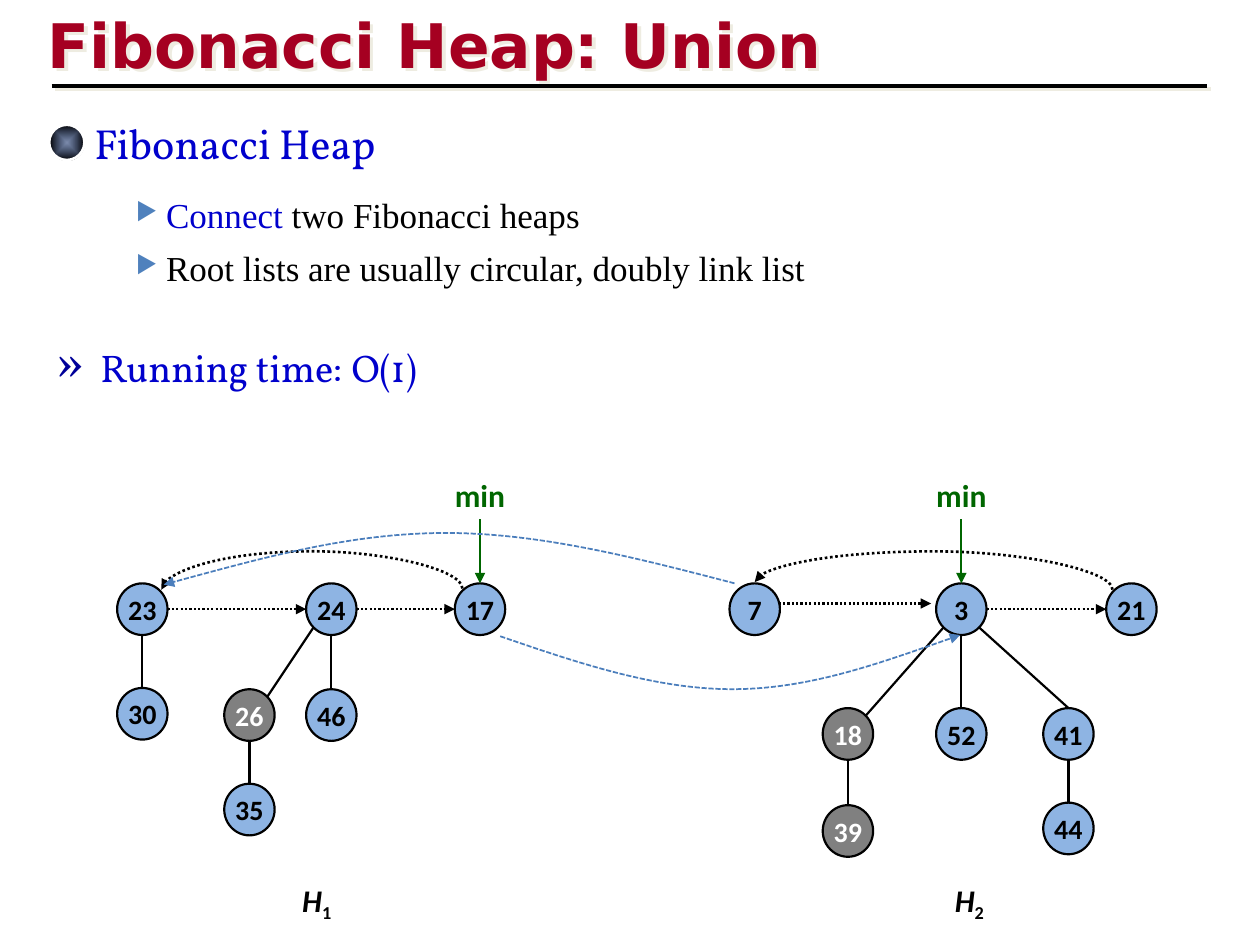
from pptx import Presentation
from pptx.dml.color import RGBColor
from pptx.enum.dml import MSO_LINE
from pptx.enum.shapes import MSO_CONNECTOR, MSO_SHAPE
from pptx.enum.text import MSO_ANCHOR, PP_ALIGN
from pptx.oxml import parse_xml
from pptx.oxml.ns import nsdecls
from pptx.util import Inches, Pt

STRAIGHT, CURVE = MSO_CONNECTOR.STRAIGHT, MSO_CONNECTOR.CURVE
OVAL = MSO_SHAPE.OVAL
DOT, DASH = MSO_LINE.ROUND_DOT, MSO_LINE.SQUARE_DOT
LEFT, CENTER, MIDDLE = PP_ALIGN.LEFT, PP_ALIGN.CENTER, MSO_ANCHOR.MIDDLE

BLACK = RGBColor(0x00, 0x00, 0x00)
WHITE = RGBColor(0xFF, 0xFF, 0xFF)
RED = RGBColor(0xA5, 0x00, 0x21)
BLUE = RGBColor(0x00, 0x00, 0xCC)
NAVY = RGBColor(0x00, 0x00, 0x99)
GREEN = RGBColor(0x00, 0x66, 0x00)
GRAY = RGBColor(0x80, 0x80, 0x80)
SKY = RGBColor(0x8E, 0xB4, 0xE3)
STEEL = RGBColor(0x4B, 0x7E, 0xBC)

SANS, BODY, SERIF = "DejaVu Sans", "Calibri", "Times New Roman"
HEAD, MARK = "Vollkorn", "TeX Gyre Schola"

# Node size, and the points on its rim where links end
WIDE, HIGH = 0.4, 0.41
N, S, E, W = (0, -1), (0, 1), (1, 0), (-1, 0)
NE, SE, SW = (0.71, -0.71), (0.71, 0.71), (-0.71, 0.71)

# Key: centre x, top
NODES = {
    23: (1.13, 4.63), 24: (2.63, 4.63), 17: (3.81, 4.63),
    30: (1.13, 5.46), 26: (1.98, 5.47), 46: (2.63, 5.47), 35: (1.98, 6.22),
    7: (5.99, 4.63), 3: (7.63, 4.63), 21: (8.98, 4.63),
    18: (6.73, 5.62), 52: (7.63, 5.62), 41: (8.48, 5.62),
    39: (6.73, 6.39), 44: (8.48, 6.37),
}
MARKED = {26, 18, 39}
TREES = [
    (23, S, 30, N), (24, SW, 26, NE), (24, S, 46, N), (26, S, 35, N),
    (3, SW, 18, NE), (3, S, 52, N), (3, SE, 41, N), (18, S, 39, N),
    (41, S, 44, N),
]
ROOTS = [(23, 24), (24, 17), (3, 21)]


def rim(key, way):
    x, top = NODES[key]
    return x + way[0] * WIDE / 2, top + HIGH / 2 + way[1] * HIGH / 2


class Deck:
    def __init__(self):
        self.file = Presentation()
        self.file.slide_width, self.file.slide_height = Inches(10), Inches(7.5)
        self.slide = self.file.slides.add_slide(self.file.slide_layouts[5])
        self.shapes = self.slide.shapes

    def font(self, font, name, size, color, bold=None):
        font.name, font.size, font.bold = name, Pt(size), bold
        font.color.rgb = color

    def shade(self, shape, inner=""):
        props = shape._element.spPr
        props.append(parse_xml(
            f'<a:effectLst {nsdecls("a")}>{inner}</a:effectLst>'))

    def glow(self, shape):
        self.shade(shape, '<a:outerShdw dist="35921" dir="2700000">'
                          '<a:srgbClr val="EEECE1"/></a:outerShdw>')

    def title(self, text):
        box = self.shapes.title
        box.left, box.top = Inches(0.28), Inches(0.01)
        box.width, box.height = Inches(8.5), Inches(0.67)
        box.text_frame.text = text
        box.text_frame.vertical_anchor = MIDDLE
        para = box.text_frame.paragraphs[0]
        para.alignment = LEFT
        self.font(para.font, SANS, 35.1, RED, True)
        self.glow(box)

    def box(self, x, y, w, h):
        frame = self.shapes.add_textbox(
            Inches(x), Inches(y), Inches(w), Inches(h)).text_frame
        frame.word_wrap = True
        return frame

    def runs(self, para, parts):
        for text, name, size, color in parts:
            run = para.add_run()
            run.text = text
            self.font(run.font, name, size, color)

    def bullet(self, para):
        props = para._p.get_or_add_pPr()
        props.set("marL", str(Inches(0.24)))
        props.set("indent", str(-Inches(0.24)))
        ns = nsdecls("a")
        for item in (f'<a:buClr {ns}><a:srgbClr val="4F81BD"/></a:buClr>',
                     f'<a:buSzPct {ns} val="70000"/>',
                     f'<a:buChar {ns} char="▶"/>'):
            props.append(parse_xml(item))

    def center(self, frame, text, size, color):
        frame.vertical_anchor = MIDDLE
        para = frame.paragraphs[0]
        para.text, para.alignment = text, CENTER
        self.font(para.font, BODY, size, color, True)

    def oval(self, x, y, w, h, edge, width):
        shape = self.shapes.add_shape(
            OVAL, Inches(x), Inches(y), Inches(w), Inches(h))
        shape.line.color.rgb, shape.line.width = edge, Pt(width)
        shape.shadow.inherit = False
        return shape

    def ball(self, x, y, size):
        shape = self.oval(x, y, size, size, WHITE, 1.5)
        shape.fill.background()
        props = shape._element.spPr
        props.replace(props.xpath("a:noFill")[0], parse_xml(
            f'<a:gradFill {nsdecls("a")} rotWithShape="1"><a:gsLst>'
            '<a:gs pos="0"><a:srgbClr val="002060"><a:alpha val="51000"/>'
            '</a:srgbClr></a:gs><a:gs pos="100000"><a:srgbClr val="000000"/>'
            '</a:gs></a:gsLst><a:path path="shape"><a:fillToRect l="50000" '
            't="50000" r="50000" b="50000"/></a:path></a:gradFill>'))

    def node(self, key):
        x, top = NODES[key]
        shape = self.oval(x - WIDE / 2, top, WIDE, HIGH, BLACK, 1.25)
        shape.fill.solid()
        shape.fill.fore_color.rgb = GRAY if key in MARKED else SKY
        shape.text_frame.word_wrap = False
        self.center(shape.text_frame, str(key), 16,
                    WHITE if key in MARKED else BLACK)

    def pen(self, line, color, width, dash=None, arrow=False):
        line.color.rgb, line.width = color, Pt(width)
        if dash:
            line.dash_style = dash
        if arrow:
            line._get_or_add_ln().append(parse_xml(
                f'<a:tailEnd {nsdecls("a")} type="triangle"/>'))

    def link(self, start, end, color=BLACK, width=1.25, dash=None,
             arrow=False, kind=STRAIGHT):
        line = self.shapes.add_connector(
            kind, *(Inches(v) for v in (*start, *end)))
        self.pen(line.line, color, width, dash, arrow)
        return line

    def arc(self, start, end, turn, bend):
        line = self.link(start, end, BLACK, 1.5, DOT, True, CURVE)
        self.shade(line)
        props = line._element.spPr
        props.xfrm.set("rot", str(turn * 60000))
        props.xpath("a:prstGeom/a:avLst")[0].append(parse_xml(
            f'<a:gd {nsdecls("a")} name="adj1" fmla="val {bend * 1000}"/>'))

    def wave(self, start, *points):
        """Dashed curve: each three points make one cubic segment."""
        pen = self.shapes.build_freeform(Inches(start[0]), Inches(start[1]))
        pen.add_line_segments(
            [(Inches(x), Inches(y)) for x, y in points], close=False)
        shape = pen.convert_to_shape()
        shape.fill.background()
        shape.shadow.inherit = False
        self.pen(shape.line, STEEL, 1, DASH, True)
        legs = shape._element.xpath(".//a:lnTo")
        for i in range(0, len(legs), 3):
            cubic = parse_xml(f'<a:cubicBezTo {nsdecls("a")}/>')
            legs[i].addprevious(cubic)
            for leg in legs[i:i + 3]:
                cubic.append(leg[0])
                leg.getparent().remove(leg)


def main():
    deck = Deck()

    # Title and rule
    deck.title("Fibonacci Heap: Union")
    deck.glow(deck.link((0.41, 0.68), (9.58, 0.68), width=2.25))

    # Heading and bullets
    deck.ball(0.39, 0.99, 0.28)
    para = deck.box(0.65, 0.88, 6.99, 0.5).paragraphs[0]
    para.text = "Fibonacci Heap"
    deck.font(para.font, HEAD, 24, BLUE)
    frame = deck.box(0.98, 1.49, 8.74, 0.86)
    first, second = frame.paragraphs[0], frame.add_paragraph()
    for para in (first, second):
        deck.bullet(para)
    second.space_before = Pt(6)
    deck.runs(first, [("Connect ", SERIF, 20, BLUE),
                      ("two Fibonacci heaps", SERIF, 20, BLACK)])
    second.text = "Root lists are usually circular, doubly link list"
    deck.font(second.font, SERIF, 20, BLACK)

    # Running time
    frame = deck.box(0.24, 2.49, 7.44, 0.67)
    frame.margin_left = Inches(0.22)
    deck.runs(frame.paragraphs[0], [
        ("»", MARK, 36, NAVY), (" ", MARK, 32, BLACK),
        ("Running time:", HEAD, 22, BLUE), (" ", HEAD, 26, BLUE),
        ("O(1)", HEAD, 22, BLUE)])

    # Heaps
    for top, out, low, into in TREES:
        deck.shade(deck.link(rim(top, out), rim(low, into)))
    for left, right in ROOTS:
        deck.shade(deck.link(rim(left, E), rim(right, W), dash=DOT, arrow=True))
    deck.shade(deck.link((6.18, 4.79), (7.39, 4.79), dash=DOT, arrow=True))
    for key in NODES:
        deck.node(key)

    # Links back to the first root
    deck.arc((2.48, 5.87), (2.47, 3.48), 270, -3000)
    deck.arc((7.44, 3.23), (7.38, 6.07), 90, 509)

    # Minimum pointers
    for key in (17, 3):
        x = NODES[key][0]
        deck.center(deck.box(x - 0.4, 3.72, 0.8, HIGH), "min", 18, GREEN)
        deck.shade(deck.link((x, 4.12), rim(key, N), GREEN, arrow=True))

    # Links that join both heaps
    deck.wave((5.83, 4.63), (5.06, 4.43), (4.29, 4.23), (3.54, 4.23),
              (2.78, 4.23), (2.04, 4.44), (1.3, 4.64))
    deck.wave((3.97, 5.05), (4.58, 5.26), (5.2, 5.47), (5.81, 5.47),
              (6.42, 5.47), (7.02, 5.25), (7.62, 5.04))

    # Heap names
    for x, mark in ((2.3, "1"), (7.48, "2")):
        para = deck.box(x, 6.94, 0.5, 0.4).paragraphs[0]
        deck.runs(para, [("H", BODY, 18, BLACK), (mark, BODY, 18, BLACK)])
        name, low = para.runs
        name.font.bold = low.font.bold = name.font.italic = True
        low.font._element.set("baseline", "-25000")

    deck.file.save("out.pptx")


if __name__ == "__main__":
    main()
